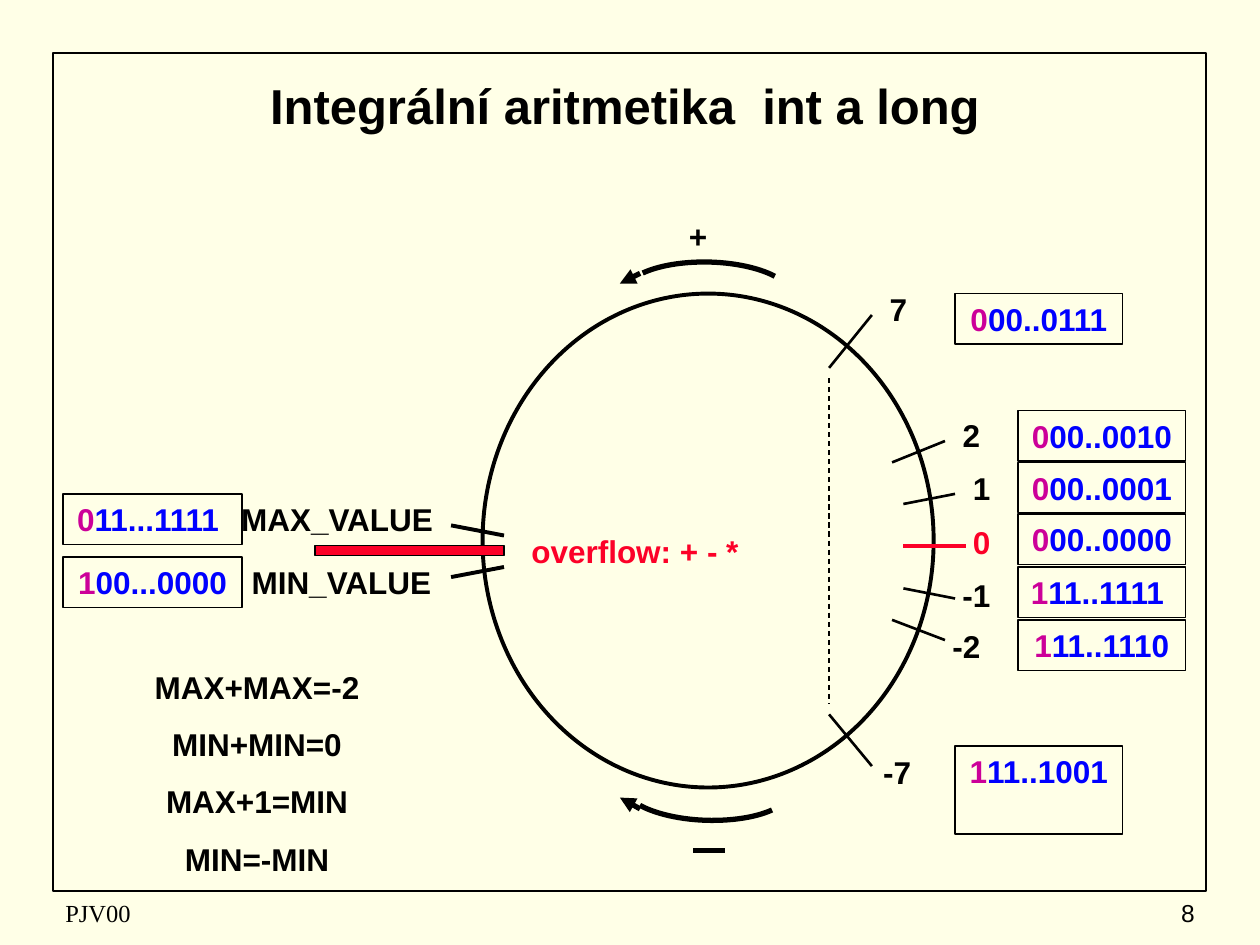
from pptx import Presentation
from pptx.dml.color import RGBColor
from pptx.enum.dml import MSO_LINE
from pptx.enum.shapes import MSO_CONNECTOR, MSO_SHAPE
from pptx.enum.text import MSO_ANCHOR, PP_ALIGN
from pptx.oxml.ns import qn
from pptx.util import Inches, Pt
from lxml import etree

IVORY = RGBColor(0xFF, 0xFF, 0xE7)
BLACK = RGBColor(0x00, 0x00, 0x00)
RED = RGBColor(0xFC, 0x01, 0x28)
MAGENTA = RGBColor(0xCC, 0x00, 0x99)
BLUE = RGBColor(0x00, 0x00, 0xFF)

LEFT, CENTER, RIGHT = PP_ALIGN.LEFT, PP_ALIGN.CENTER, PP_ALIGN.RIGHT
TOP, MIDDLE = MSO_ANCHOR.TOP, MSO_ANCHOR.MIDDLE
RECTANGLE, OVAL, ARC = MSO_SHAPE.RECTANGLE, MSO_SHAPE.OVAL, MSO_SHAPE.ARC
STRAIGHT = MSO_CONNECTOR.STRAIGHT
DASH = MSO_LINE.DASH

LABEL = {"name": "Arial", "size": Pt(18), "bold": True}
TITLE = {"name": "Arial", "size": Pt(28), "bold": True}
FOOTER = {"name": "Times New Roman", "size": Pt(14), "bold": False}
PAGE_NUMBER = {"name": "Arial", "size": Pt(14), "bold": False}

presentation = Presentation()
presentation.slide_width = Inches(10)
presentation.slide_height = Inches(7.5)
slide = presentation.slides.add_slide(presentation.slide_layouts[6])
slide.background.fill.solid()
slide.background.fill.fore_color.rgb = IVORY


def add_figure(kind, box, line_width, fill=None):
    shape = slide.shapes.add_shape(kind, *map(Inches, box))
    shape.shadow.inherit = False
    if fill is None:
        shape.fill.background()
    else:
        shape.fill.solid()
        shape.fill.fore_color.rgb = fill
    shape.line.color.rgb = BLACK
    shape.line.width = Pt(line_width)
    return shape


def write_text(shape, paragraphs, font=LABEL, alignment=CENTER, anchor=TOP):
    frame = shape.text_frame
    frame.word_wrap = True
    frame.vertical_anchor = anchor
    for index, pieces in enumerate(paragraphs):
        paragraph = frame.add_paragraph() if index else frame.paragraphs[0]
        paragraph.alignment = alignment
        if index:
            paragraph.space_before = Pt(11.2)
        for text, color in pieces:
            run = paragraph.add_run()
            run.text = text
            for attribute, value in font.items():
                setattr(run.font, attribute, value)
            run.font.color.rgb = color


add_figure(RECTANGLE, (0.42, 0.42, 9.15, 6.65), 1)

for text, box, font, alignment in [
    ("PJV00", (0.42, 7.08, 3.17, 0.33), FOOTER, LEFT),
    ("8", (7.5, 7.08, 2.08, 0.33), PAGE_NUMBER, RIGHT),
    ("Integrální aritmetika  int a long", (0.5, 0.5, 8.92, 0.67), TITLE, CENTER),
]:
    text_box = slide.shapes.add_textbox(*map(Inches, box))
    write_text(text_box, [[(text, BLACK)]], font, alignment, MIDDLE)

add_figure(OVAL, (3.83, 2.33, 3.58, 3.92), 2.25)
add_figure(RECTANGLE, (2.5, 4.33, 1.5, 0.08), 0.75, RED)

for left, top, rotation in [(4.95, 2.08, 1.3), (4.94, 5.98, 181.9)]:
    arc = add_figure(ARC, (left, top, 1.34, 0.53), 3)
    arc.rotation = rotation
    for index, degrees in enumerate((197.6, 342.7)):
        arc.adjustments[index] = degrees * 0.6

for start_x, start_y, end_x, end_y, color, width, dash, arrow in [
    (7.17, 4.33, 7.67, 4.33, RED, 2.25, None, False),
    (7.17, 4, 7.58, 3.92, BLACK, 1.5, None, False),
    (7.08, 3.67, 7.5, 3.5, BLACK, 1.5, None, False),
    (7.17, 4.67, 7.58, 4.75, BLACK, 1.5, None, False),
    (7.08, 4.92, 7.5, 5.08, BLACK, 1.5, None, False),
    (3.58, 4.17, 4, 4.25, BLACK, 2.25, None, False),
    (3.58, 4.58, 4, 4.5, BLACK, 2.25, None, False),
    (6.58, 2.92, 6.92, 2.5, BLACK, 1.5, None, False),
    (6.58, 5.67, 6.92, 6.08, BLACK, 1.5, None, False),
    (6.58, 3, 6.58, 5.58, BLACK, 0.75, DASH, False),
    (5.5, 6.75, 5.75, 6.75, BLACK, 3, None, False),
    (5.08, 2.17, 4.92, 2.25, BLACK, 3, None, True),
    (5.08, 6.42, 4.92, 6.33, BLACK, 3, None, True),
]:
    connector = slide.shapes.add_connector(
        STRAIGHT, *map(Inches, (start_x, start_y, end_x, end_y))
    )
    connector.line.color.rgb = color
    connector.line.width = Pt(width)
    if dash is not None:
        connector.line.dash_style = dash
    if arrow:
        etree.SubElement(connector.line._get_or_add_ln(), qn("a:tailEnd"), type="triangle")
    etree.SubElement(connector._element.spPr, qn("a:effectLst"))

for text, left, top, width, color in [
    ("0", 7.58, 4.1, 0.42, RED),
    ("-1", 7.5, 4.52, 0.5, BLACK),
    ("1", 7.58, 3.67, 0.42, BLACK),
    ("2", 7.5, 3.25, 0.42, BLACK),
    ("-2", 7.42, 4.93, 0.5, BLACK),
    ("7", 6.92, 2.25, 0.42, BLACK),
    ("-7", 6.83, 5.93, 0.58, BLACK),
    ("+", 5.33, 1.67, 0.42, BLACK),
    ("MAX_VALUE ", 1.75, 3.92, 1.92, BLACK),
    ("MIN_VALUE ", 1.83, 4.42, 1.83, BLACK),
    ("overflow: + - *", 4.08, 4.17, 1.92, RED),
]:
    text_box = slide.shapes.add_textbox(*map(Inches, (left, top, width, 0.4)))
    write_text(text_box, [[(text, color)]])

for bits, left, top, width, height in [
    ("100...0000 ", 0.5, 4.42, 1.42, 0.4),
    ("011...1111 ", 0.5, 3.92, 1.42, 0.4),
    ("111..1110 ", 8.08, 4.92, 1.33, 0.4),
    ("111..1111 ", 8.08, 4.5, 1.33, 0.4),
    ("000..0000 ", 8.08, 4.08, 1.33, 0.4),
    ("000..0001 ", 8.08, 3.67, 1.33, 0.4),
    ("000..0010 ", 8.08, 3.26, 1.33, 0.4),
    ("000..0111 ", 7.58, 2.33, 1.33, 0.4),
    ("111..1001 ", 7.58, 5.92, 1.33, 0.7),
]:
    bit_box = add_figure(RECTANGLE, (left, top, width, height), 0.75)
    write_text(bit_box, [[(bits[0], MAGENTA), (bits[1:], BLUE)]])

identities = ["MAX+MAX=-2", "MIN+MIN=0", "MAX+1=MIN", "MIN=-MIN"]
text_box = slide.shapes.add_textbox(*map(Inches, (0.75, 5.25, 2.58, 1.77)))
write_text(text_box, [[(identity, BLACK)] for identity in identities])

presentation.save("out.pptx")
